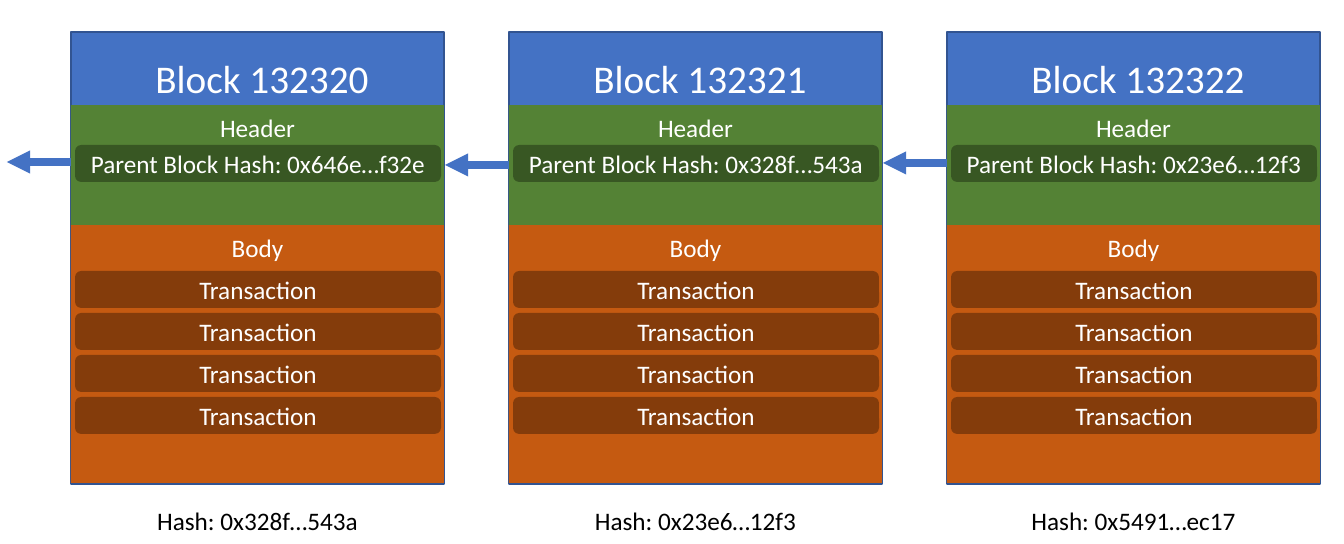
from lxml.etree import SubElement
from pptx import Presentation
from pptx.dml.color import RGBColor
from pptx.enum.shapes import MSO_CONNECTOR as Line, MSO_SHAPE as Preset
from pptx.enum.text import MSO_ANCHOR as Anchor, MSO_AUTO_SIZE as AutoSize, PP_ALIGN as Align
from pptx.oxml.ns import qn
from pptx.util import Pt

EMU_PER_PIXEL = 914400 / 100.8
FONT = "Calibri"
WHITE, BLACK = "FFFFFF", "000000"
BLUE, BLUE_EDGE = "4472C4", "325491"
GREEN, DARK_GREEN = "548235", "385723"
ORANGE, DARK_ORANGE = "C55A11", "843C0B"

FIRST_LEFT, BLOCK_PITCH, BLOCK_WIDTH = 71, 438, 373
ENTRY_INSET, ENTRY_WIDTH, ENTRY_HEIGHT = 4, 366, 37
FIRST_TRANSACTION, TRANSACTION_PITCH, TRANSACTIONS = 271, 42, 4
ARROW_LENGTH = 64

# Block number, parent hash, own hash, height of the arrow to the parent
BLOCKS = [
    (132320, "0x646e…f32e", "0x328f…543a", 162),
    (132321, "0x328f…543a", "0x23e6…12f3", 165),
    (132322, "0x23e6…12f3", "0x5491…ec17", 163),
]


def px(*lengths):
    return [round(length * EMU_PER_PIXEL) for length in lengths]


def color(value):
    return RGBColor.from_string(value)


def write(frame, text, size, ink):
    paragraph = frame.paragraphs[0]
    paragraph.alignment = Align.CENTER
    run = paragraph.add_run()
    run.text = text
    run.font.name = FONT
    run.font.size = Pt(size)
    run.font.color.rgb = color(ink)


def add_panel(shapes, preset, box, fill, edge=None):
    panel = shapes.add_shape(preset, *px(*box))
    panel.shadow.inherit = False
    panel.fill.solid()
    panel.fill.fore_color.rgb = color(fill)
    if edge:
        panel.line.color.rgb = color(edge)
        panel.line.width = Pt(1)
    else:
        panel.line.fill.background()
    return panel


def add_entry(shapes, left, top, fill, text):
    box = (left + ENTRY_INSET, top, ENTRY_WIDTH, ENTRY_HEIGHT)
    entry = add_panel(shapes, Preset.ROUNDED_RECTANGLE, box, fill)
    entry.text_frame.vertical_anchor = Anchor.MIDDLE
    write(entry.text_frame, text, 18, WHITE)


def add_label(shapes, left, top, height, text, size=18, ink=WHITE):
    frame = shapes.add_textbox(*px(left, top, BLOCK_WIDTH, height)).text_frame
    frame.word_wrap = True
    frame.auto_size = AutoSize.SHAPE_TO_FIT_TEXT
    write(frame, text, size, ink)


def add_block(slide, left, number, parent_hash):
    shapes = slide.shapes.add_group_shape().shapes

    # Title over the whole block
    add_panel(shapes, Preset.RECTANGLE, (left, 32, BLOCK_WIDTH, 452), BLUE, BLUE_EDGE)
    add_label(shapes, left, 49, 57, f" Block {number}", 28)

    # Header and body sections
    for name, top, height, fill in (("Header", 105, 121, GREEN), ("Body", 225, 258, ORANGE)):
        add_panel(shapes, Preset.RECTANGLE, (left, top, BLOCK_WIDTH, height), fill)
        add_label(shapes, left, top + 2, 40, name)

    # Entries
    for row in range(TRANSACTIONS):
        top = FIRST_TRANSACTION + row * TRANSACTION_PITCH
        add_entry(shapes, left, top, DARK_ORANGE, "Transaction")
    add_entry(shapes, left, 145, DARK_GREEN, f"Parent Block Hash: {parent_hash}")


def add_parent_arrow(slide, start, y):
    arrow = slide.shapes.add_connector(Line.STRAIGHT, *px(start, y, start - ARROW_LENGTH, y))
    arrow.line.color.rgb = color(BLUE)
    arrow.line.width = Pt(5.5)
    SubElement(arrow.line._get_or_add_ln(), qn("a:tailEnd"), type="triangle")
    SubElement(arrow._element.spPr, qn("a:effectLst"))


def main():
    deck = Presentation()
    deck.slide_width, deck.slide_height = px(1344, 544)
    slide = deck.slides.add_slide(deck.slide_layouts[6])

    for index, (number, parent_hash, own_hash, arrow_y) in enumerate(BLOCKS):
        left = FIRST_LEFT + index * BLOCK_PITCH
        add_block(slide, left, number, parent_hash)
        # Caption across the full block width, so the hash stays on one line
        add_label(slide.shapes, left, 500, 40, f"Hash: {own_hash}", ink=BLACK)
        add_parent_arrow(slide, left, arrow_y)

    deck.save("out.pptx")


main()
